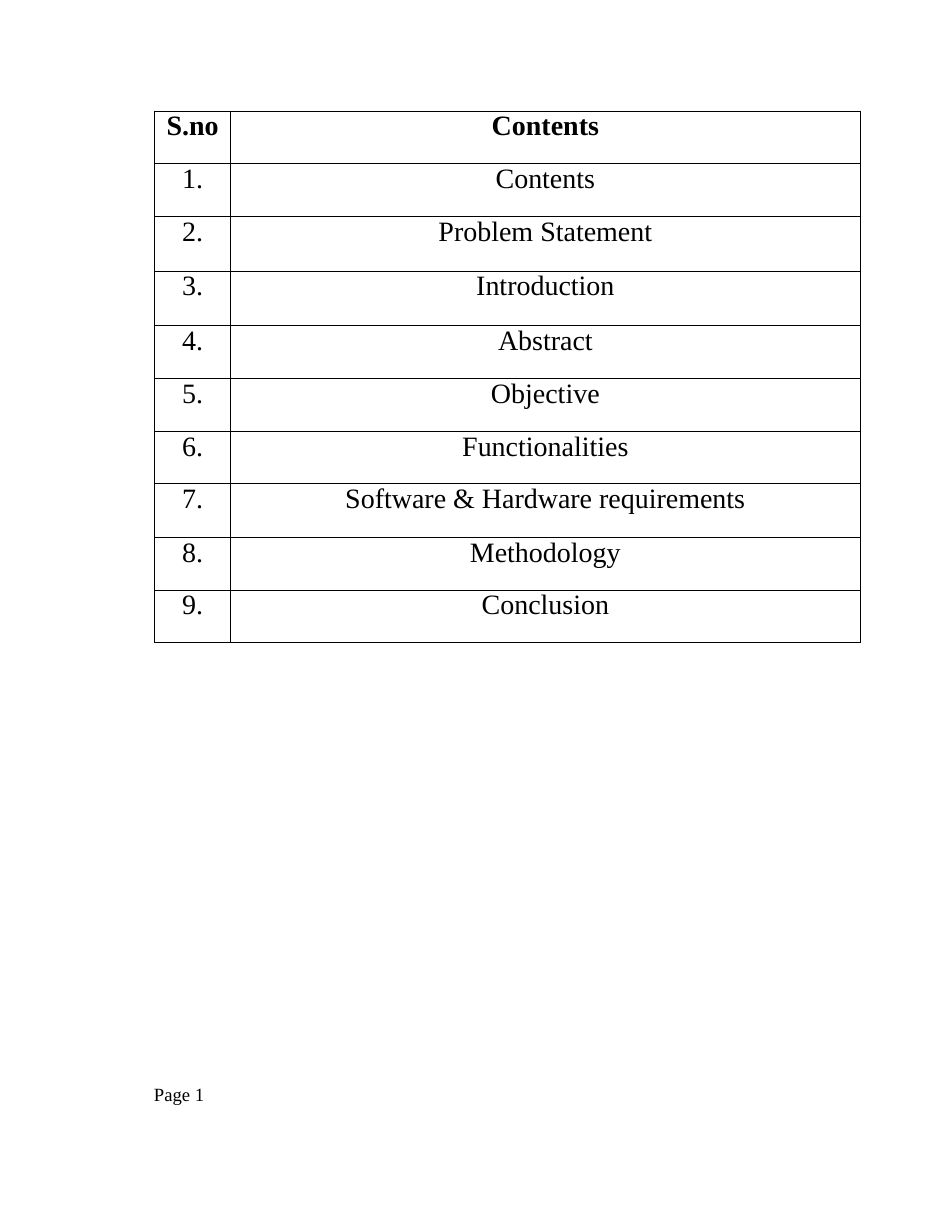
from dataclasses import dataclass

import pptx
import pptx.dml.color
import pptx.enum.text
import pptx.oxml
import pptx.oxml.ns
import pptx.util

Pt = pptx.util.Pt


@dataclass(frozen=True)
class Theme:
    font: str = "Times New Roman"
    ink: str = "000000"
    table_size: float = 18
    footer_size: float = 12
    rule_width: float = 0.58


@dataclass(frozen=True)
class Entry:
    number: str
    title: str
    height: float = 33.84
    bold: bool = False


THEME = Theme()
COLUMN_WIDTHS = (48.96, 404.64)
ENTRIES = (
    Entry("S.no", "Contents", bold=True),
    Entry("1.", "Contents"),
    Entry("2.", "Problem Statement", height=35.28),
    Entry("3.", "Introduction", height=35.28),
    Entry("4.", "Abstract"),
    Entry("5.", "Objective"),
    Entry("6.", "Functionalities"),
    Entry("7.", "Software & Hardware requirements", height=34.56),
    Entry("8.", "Methodology"),
    Entry("9.", "Conclusion"),
)


def clear_margins(holder) -> None:
    holder.margin_left = holder.margin_right = Pt(0)
    holder.margin_top = holder.margin_bottom = Pt(0)


def add_span(para, text: str, size: float, bold: bool = False) -> None:
    span = para.add_run()
    span.text = text
    span.font.name = THEME.font
    span.font.size = Pt(size)
    span.font.bold = bold
    span.font.color.rgb = pptx.dml.color.RGBColor.from_string(THEME.ink)


def set_borders(cell) -> None:
    properties = cell._tc.get_or_add_tcPr()
    for index, side in enumerate(("lnL", "lnR", "lnT", "lnB")):
        properties.insert(index, pptx.oxml.parse_xml(
            f'<a:{side} {pptx.oxml.ns.nsdecls("a")} w="{Pt(THEME.rule_width)}">'
            f'<a:solidFill><a:srgbClr val="{THEME.ink}"/></a:solidFill></a:{side}>'
        ))


def fill_cell(cell, text: str, bold: bool) -> None:
    clear_margins(cell)
    cell.fill.background()
    set_borders(cell)
    para = cell.text_frame.paragraphs[0]
    para.alignment = pptx.enum.text.PP_ALIGN.CENTER
    add_span(para, text, THEME.table_size, bold)


def add_contents_table(page, left: float, top: float) -> None:
    table = page.shapes.add_table(
        len(ENTRIES), len(COLUMN_WIDTHS), Pt(left), Pt(top),
        Pt(sum(COLUMN_WIDTHS)), Pt(sum(entry.height for entry in ENTRIES)),
    ).table
    table.first_row = table.horz_banding = False
    for column, width in zip(table.columns, COLUMN_WIDTHS):
        column.width = Pt(width)
    for row, entry in zip(table.rows, ENTRIES):
        row.height = Pt(entry.height)
        for cell, text in zip(row.cells, (entry.number, entry.title)):
            fill_cell(cell, text, entry.bold)


def add_footer(page, text: str) -> None:
    box = page.shapes.add_textbox(Pt(99), Pt(696.24), Pt(36), Pt(13.68))
    clear_margins(box.text_frame)
    box.text_frame.word_wrap = False
    add_span(box.text_frame.paragraphs[0], text, THEME.footer_size)


def main() -> None:
    deck = pptx.Presentation()
    deck.slide_width, deck.slide_height = Pt(612), Pt(792)
    page = deck.slides.add_slide(deck.slide_layouts[6])
    add_footer(page, "Page 1")
    add_contents_table(page, left=99.36, top=71.28)
    deck.save("out.pptx")


if __name__ == "__main__":
    main()
